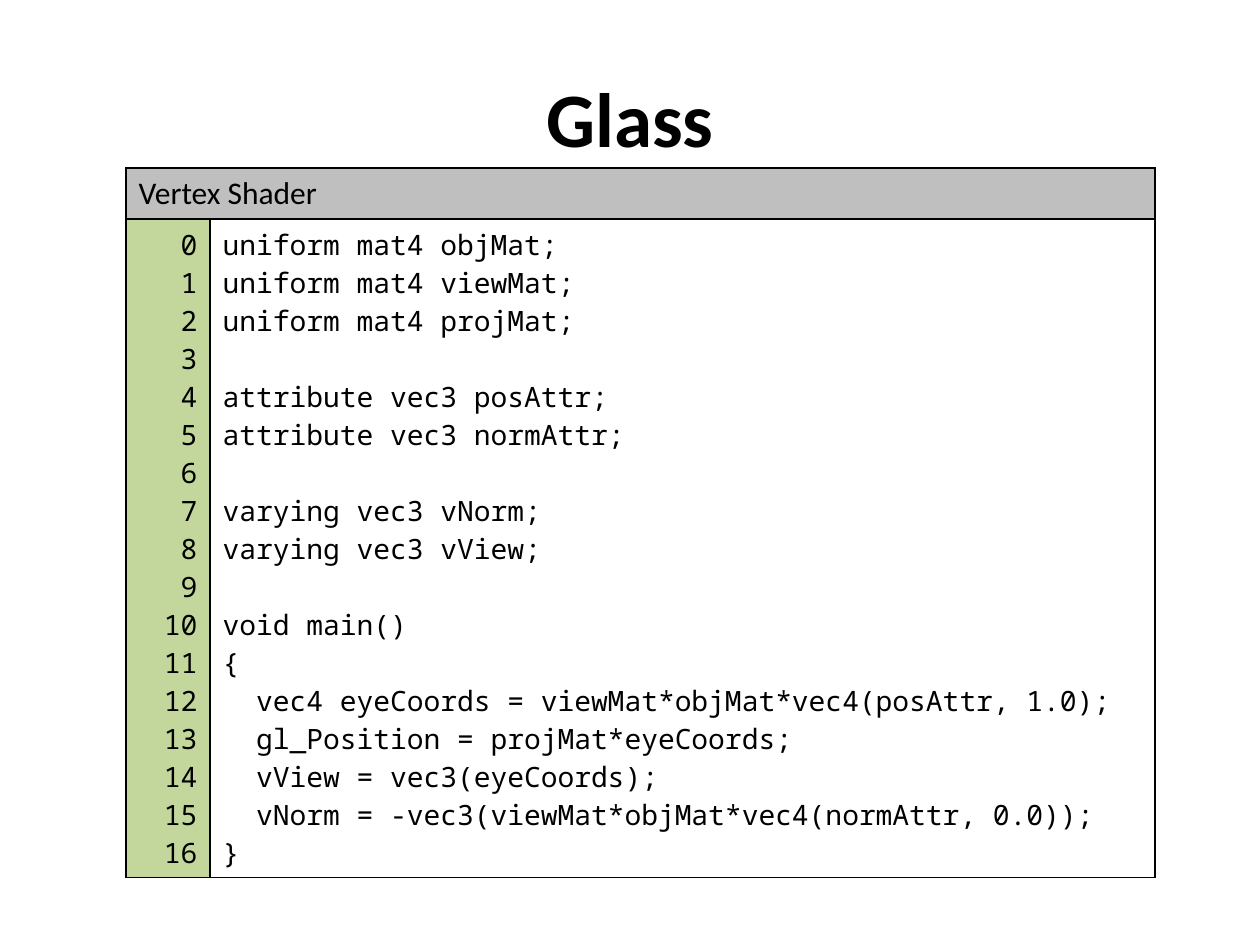
import dataclasses

import lxml.etree
import pptx
import pptx.dml.color
import pptx.enum.text
import pptx.oxml.ns
import pptx.table
import pptx.text.text
import pptx.util

Pt = pptx.util.Pt
Align = pptx.enum.text.PP_ALIGN
qn = pptx.oxml.ns.qn

COLORS = {"ink": "000000", "page": "FFFFFF", "head": "BFBFBF", "gutter": "C3D69B"}
SANS = "Calibri"
MONO = "Noto Sans Mono"
CODE = """uniform mat4 objMat;
uniform mat4 viewMat;
uniform mat4 projMat;

attribute vec3 posAttr;
attribute vec3 normAttr;

varying vec3 vNorm;
varying vec3 vView;

void main()
{
  vec4 eyeCoords = viewMat*objMat*vec4(posAttr, 1.0);
  gl_Position = projMat*eyeCoords;
  vView = vec3(eyeCoords);
  vNorm = -vec3(viewMat*objMat*vec4(normAttr, 0.0));
}""".split("\n")


@dataclasses.dataclass
class Block:
    row: int
    col: int
    lines: list[str]
    fill: str
    face: str = MONO
    size: float = 16
    align: Align = Align.LEFT


def color(name: str) -> pptx.dml.color.RGBColor:
    return pptx.dml.color.RGBColor.from_string(COLORS[name])


def add_run(para: pptx.text.text._Paragraph, text: str, face: str,
            size: float, bold: bool = False) -> None:
    run = para.add_run()
    run.text = text
    run.font.name = face
    run.font.size = Pt(size)
    run.font.bold = bold
    run.font.color.rgb = color("ink")


def size_blank(para: pptx.text.text._Paragraph, face: str, size: float) -> None:
    end = lxml.etree.SubElement(para._p, qn("a:endParaRPr"), sz=str(int(size * 100)))
    lxml.etree.SubElement(end, qn("a:latin"), typeface=face)


def add_border(cell: pptx.table._Cell) -> None:
    props = cell._tc.get_or_add_tcPr()
    for side in ("lnL", "lnR", "lnT", "lnB"):
        line = lxml.etree.SubElement(props, qn(f"a:{side}"), w=str(Pt(1)))
        fill = lxml.etree.SubElement(line, qn("a:solidFill"))
        lxml.etree.SubElement(fill, qn("a:srgbClr"), val=COLORS["ink"])


def fill_cell(table: pptx.table.Table, block: Block) -> None:
    cell = table.cell(block.row, block.col)
    cell.fill.solid()
    cell.fill.fore_color.rgb = color(block.fill)
    frame = cell.text_frame
    for num, text in enumerate(block.lines):
        para = frame.add_paragraph() if num else frame.paragraphs[0]
        para.alignment = block.align
        if text:
            add_run(para, text, block.face, block.size)
        else:
            size_blank(para, block.face, block.size)


def main() -> None:
    deck = pptx.Presentation()
    deck.slide_width, deck.slide_height = Pt(720), Pt(540)
    slide = deck.slides.add_slide(deck.slide_layouts[5])
    slide.background.fill.solid()
    slide.background.fill.fore_color.rgb = color("page")

    title = slide.shapes.title
    title.left, title.top, title.width, title.height = Pt(36), Pt(21.6), Pt(648), Pt(90)
    title.text_frame.vertical_anchor = pptx.enum.text.MSO_ANCHOR.MIDDLE
    para = title.text_frame.paragraphs[0]
    para.alignment = Align.CENTER
    add_run(para, "Glass", SANS, 44, True)

    table = slide.shapes.add_table(2, 2, Pt(72), Pt(96), Pt(588), Pt(405)).table
    table.first_row = table.horz_banding = False
    for col, width in zip(table.columns, (48, 540)):
        col.width = Pt(width)
    for row, height in zip(table.rows, (29.2, 375.8)):
        row.height = Pt(height)
    for cell in table.iter_cells():
        add_border(cell)
    table.cell(0, 0).merge(table.cell(0, 1))

    nums = [str(num) for num in range(len(CODE))]
    for block in (
        Block(0, 0, ["Vertex Shader"], "head", SANS, 18),
        Block(1, 0, nums, "gutter", align=Align.RIGHT),
        Block(1, 1, CODE, "page"),
    ):
        fill_cell(table, block)

    deck.save("out.pptx")


if __name__ == "__main__":
    main()
